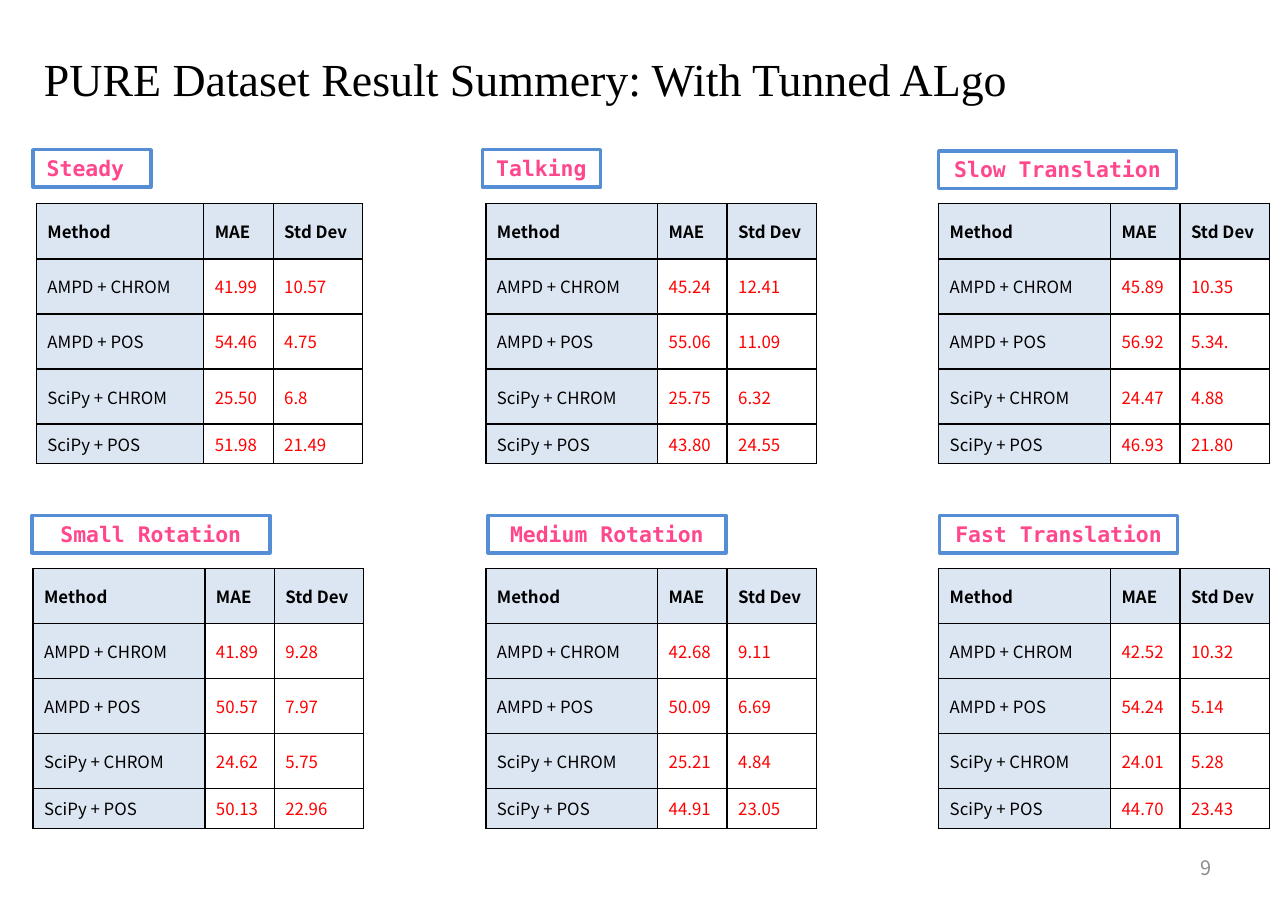
"""Build the summary slide of six labelled result tables."""
from dataclasses import dataclass
from itertools import product

from lxml import etree
from pptx import Presentation
from pptx.dml.color import RGBColor
from pptx.enum.shapes import MSO_SHAPE
from pptx.enum.text import MSO_ANCHOR, MSO_AUTO_SIZE, PP_ALIGN
from pptx.oxml.ns import qn
from pptx.shapes.base import BaseShape
from pptx.slide import Slide
from pptx.table import _Cell
from pptx.text.text import TextFrame
from pptx.util import Pt

RECTANGLE = MSO_SHAPE.RECTANGLE
TOP, MIDDLE = MSO_ANCHOR.TOP, MSO_ANCHOR.MIDDLE
LEFT, CENTER, RIGHT = PP_ALIGN.LEFT, PP_ALIGN.CENTER, PP_ALIGN.RIGHT
GROW = MSO_AUTO_SIZE.SHAPE_TO_FIT_TEXT

EMU_PER_PX = 9144
SLIDE_WIDTH, SLIDE_HEIGHT = 1169, 827
ROW_HEIGHTS = (50, 50, 50, 50, 36)
MAE_WIDTH, DEVIATION_WIDTH = 63, 81
LABEL_HEIGHT = 34

BLACK, WHITE, RED, GRAY = "000000", "FFFFFF", "FF0000", "8C8C8C"
PINK, BLUE, PALE_BLUE = "FF478D", "558ED5", "DCE6F2"

HEADER = ("Method", "MAE", "Std Dev")
METHODS = tuple(" + ".join(pair) for pair in product(("AMPD", "SciPy"), ("CHROM", "POS")))

SANS = "Noto Sans CJK KR"
TITLE_FORMAT = {"name": "Times New Roman", "size": Pt(30)}
LABEL_FORMAT = {"name": "DejaVu Sans Mono", "size": Pt(14), "bold": True}
NUMBER_FORMAT = {"name": SANS, "size": Pt(13)}
BODY_FORMAT = {"name": SANS, "size": Pt(11), "bold": False}
HEADER_FORMAT = BODY_FORMAT | {"bold": True}


@dataclass(frozen=True)
class Box:
    """Position and size in px."""

    left: int
    top: int
    width: int
    height: int

    def emu(self) -> tuple[int, ...]:
        """Return the four lengths in EMU."""
        return tuple(map(px, (self.left, self.top, self.width, self.height)))


@dataclass(frozen=True)
class Result:
    """One motion scenario with its label and table."""

    label: str
    label_box: Box
    table_left: int
    table_top: int
    method_width: int
    errors: tuple[str, ...]
    deviations: tuple[str, ...]


RESULTS = (
    Result("Steady ", Box(30, 136, 107, LABEL_HEIGHT), 33, 185, 152,
           ("41.99", "54.46", "25.50", "51.98"), ("10.57", "4.75", "6.8", "21.49")),
    Result("Talking ", Box(438, 136, 107, LABEL_HEIGHT), 441, 185, 156,
           ("45.24", "55.06", "25.75", "43.80"), ("12.41", "11.09", "6.32", "24.55")),
    Result("Slow Translation", Box(852, 137, 216, LABEL_HEIGHT), 852, 185, 156,
           ("45.89", "56.92", "24.47", "46.93"), ("10.35", "5.34.", "4.88", "21.80")),
    Result("Small Rotation", Box(29, 468, 216, LABEL_HEIGHT), 30, 516, 156,
           ("41.89", "50.57", "24.62", "50.13"), ("9.28", "7.97", "5.75", "22.96")),
    Result("Medium Rotation", Box(443, 468, 216, LABEL_HEIGHT), 441, 516, 156,
           ("42.68", "50.09", "25.21", "44.91"), ("9.11", "6.69", "4.84", "23.05")),
    Result("Fast Translation", Box(853, 468, 216, LABEL_HEIGHT), 852, 516, 156,
           ("42.52", "54.24", "24.01", "44.70"), ("10.32", "5.14", "5.28", "23.43")),
)


def px(length: int) -> int:
    """Convert px to EMU."""
    return length * EMU_PER_PX


def color(value: str) -> RGBColor:
    """Convert a hex string to a colour."""
    return RGBColor.from_string(value)


def write(frame: TextFrame, text: str, text_color: str, font_format: dict,
          alignment: PP_ALIGN = LEFT, line_spacing: float = 1.0) -> None:
    """Write one formatted paragraph."""
    paragraph = frame.paragraphs[0]
    paragraph.alignment = alignment
    paragraph.line_spacing = line_spacing
    run = paragraph.add_run()
    run.text = text
    for name, value in font_format.items():
        setattr(run.font, name, value)
    run.font.color.rgb = color(text_color)


def set_frame(shape: BaseShape, frame_format: dict) -> TextFrame:
    """Apply format values to the text frame of a shape."""
    frame = shape.text_frame
    for name, value in ({"word_wrap": True} | frame_format).items():
        setattr(frame, name, value)
    return frame


def add_label(slide: Slide, result: Result) -> None:
    """Draw the outlined scenario label."""
    shape = slide.shapes.add_shape(RECTANGLE, *result.label_box.emu())
    shape.shadow.inherit = False
    shape.fill.background()
    shape.line.color.rgb = color(BLUE)
    shape.line.width = Pt(2.25)
    frame = set_frame(shape, {"vertical_anchor": TOP, "auto_size": GROW})
    write(frame, result.label, PINK, LABEL_FORMAT, CENTER)


def add_borders(cell: _Cell) -> None:
    """Give a cell thin black borders on all sides."""
    properties = cell._tc.get_or_add_tcPr()
    for side in ("lnL", "lnR", "lnT", "lnB"):
        line = etree.SubElement(properties, qn(f"a:{side}"), w=str(Pt(1)))
        fill = etree.SubElement(line, qn("a:solidFill"))
        etree.SubElement(fill, qn("a:srgbClr"), val=BLACK)


def add_result_table(slide: Slide, result: Result) -> None:
    """Draw the table of one scenario."""
    widths = (result.method_width, MAE_WIDTH, DEVIATION_WIDTH)
    box = Box(result.table_left, result.table_top, sum(widths), sum(ROW_HEIGHTS))
    rows = (HEADER, *zip(METHODS, result.errors, result.deviations))
    table = slide.shapes.add_table(len(rows), len(widths), *box.emu()).table
    table.horz_banding = False
    for column, width in zip(table.columns, widths):
        column.width = px(width)
    for row, height in zip(table.rows, ROW_HEIGHTS):
        row.height = px(height)
    for row_index, values in enumerate(rows):
        for column_index, text in enumerate(values):
            cell = table.cell(row_index, column_index)
            is_heading = row_index == 0 or column_index == 0
            add_borders(cell)
            cell.fill.solid()
            cell.fill.fore_color.rgb = color(PALE_BLUE if is_heading else WHITE)
            cell.vertical_anchor = MIDDLE
            write(cell.text_frame, text, BLACK if is_heading else RED,
                  BODY_FORMAT if row_index else HEADER_FORMAT)


def main() -> None:
    """Build and save the presentation."""
    presentation = Presentation()
    presentation.slide_width, presentation.slide_height = px(SLIDE_WIDTH), px(SLIDE_HEIGHT)
    slide = presentation.slides.add_slide(presentation.slide_layouts[6])

    title = slide.shapes.add_textbox(*Box(30, 16, 911, 78).emu())
    write(set_frame(title, {"auto_size": GROW}),
          "PURE Dataset Result Summery: With Tunned ALgo", BLACK, TITLE_FORMAT, LEFT, 1.5)

    page_number = slide.shapes.add_textbox(*Box(838, 766, 273, 44).emu())
    number_frame = set_frame(page_number, {
        "vertical_anchor": MIDDLE, "margin_left": px(11), "margin_right": px(11)})
    write(number_frame, "9", GRAY, NUMBER_FORMAT, RIGHT)

    for result in RESULTS:
        add_result_table(slide, result)
        add_label(slide, result)
    presentation.save("out.pptx")


if __name__ == "__main__":
    main()
